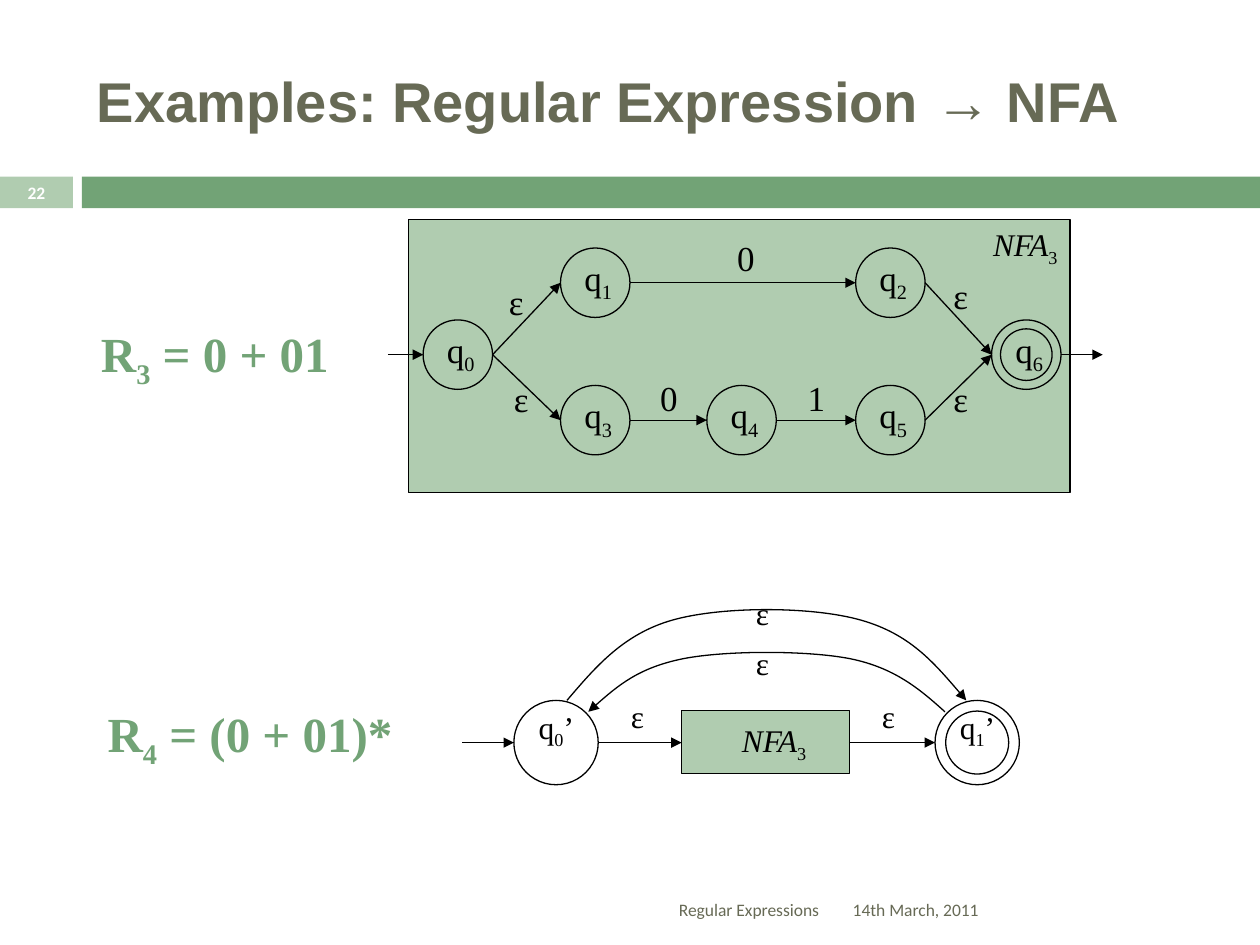
from pptx import Presentation
from pptx.dml.color import RGBColor
from pptx.enum.shapes import MSO_CONNECTOR, MSO_SHAPE
from pptx.enum.text import MSO_ANCHOR, MSO_AUTO_SIZE, PP_ALIGN
from pptx.oxml.ns import qn
from pptx.util import Cm, Pt
from lxml.etree import SubElement

BLACK = RGBColor(0x00, 0x00, 0x00)
WHITE = RGBColor(0xFF, 0xFF, 0xFF)
OLIVE = RGBColor(0x67, 0x6A, 0x55)
GREEN = RGBColor(0x72, 0xA3, 0x76)
PALE = RGBColor(0xB0, 0xCC, 0xB0)
SERIF = "Times New Roman"

LABEL = {"name": SERIF, "size": Pt(20), "color": BLACK}
SMALL = {**LABEL, "size": Pt(18)}
NFA = {**SMALL, "italic": True}
FORMULA = {"name": SERIF, "size": Pt(28), "color": GREEN, "bold": True}
TITLE = {"name": "Arial", "size": Pt(32), "color": OLIVE, "bold": True}
FOOTER = {"name": "Calibri", "size": Pt(10), "color": OLIVE}
NUMBER = {**FOOTER, "color": WHITE, "bold": True}


class Diagram:
    def __init__(self, page):
        self.page = page
        self.shapes = page.shapes

    def span(self, para, text, style, subscript=False):
        span = para.add_run()
        span.text = text
        for key, value in style.items():
            if key == "color":
                span.font.color.rgb = value
            else:
                setattr(span.font, key, value)
        if subscript:
            span.font.italic = False
            span.font._element.set("baseline", "-25000")

    def fill_text(self, box, text, style, align=PP_ALIGN.LEFT, anchor=MSO_ANCHOR.TOP, wrap=True):
        """Set text in which every second part between underscores is a subscript."""
        frame = box.text_frame
        frame.word_wrap = wrap
        frame.vertical_anchor = anchor
        para = frame.paragraphs[0]
        para.alignment = align
        for index, part in enumerate(text.split("_")):
            self.span(para, part, style, subscript=index % 2 == 1)

    def title(self, spans, area):
        box = self.shapes.title
        box.left, box.top, box.width, box.height = map(Cm, area)
        box.text_frame.vertical_anchor = MSO_ANCHOR.MIDDLE
        para = box.text_frame.paragraphs[0]
        para.alignment = PP_ALIGN.LEFT
        for text, font in spans:
            self.span(para, text, {**TITLE, "name": font})

    def text(self, text, area, style, **layout):
        box = self.shapes.add_textbox(*map(Cm, area))
        self.fill_text(box, text, style, **layout)

    def label(self, text, left, top, style=LABEL, width=0.84, height=1.12):
        box = self.shapes.add_textbox(Cm(left), Cm(top), Cm(width), Cm(height))
        self.fill_text(box, text, style, wrap=False)
        box.text_frame.auto_size = MSO_AUTO_SIZE.SHAPE_TO_FIT_TEXT

    def outline(self, shape, fill=None, line=BLACK):
        shape.shadow.inherit = False
        if fill is None:
            shape.fill.background()
        else:
            shape.fill.solid()
            shape.fill.fore_color.rgb = fill
        if line is None:
            shape.line.fill.background()
        else:
            shape.line.color.rgb = line
            shape.line.width = Pt(0.75)

    def rectangle(self, area, fill, line=None):
        shape = self.shapes.add_shape(MSO_SHAPE.RECTANGLE, *map(Cm, area))
        self.outline(shape, fill, line)
        return shape

    def circle(self, center, diameter):
        x, y = center
        corner = Cm(x - diameter / 2), Cm(y - diameter / 2)
        shape = self.shapes.add_shape(MSO_SHAPE.OVAL, *corner, Cm(diameter), Cm(diameter))
        self.outline(shape)

    def arrowhead(self, shape):
        line = shape.line._get_or_add_ln()
        SubElement(line, qn("a:tailEnd"), type="triangle")

    def arrow(self, start, end):
        line = self.shapes.add_connector(MSO_CONNECTOR.STRAIGHT, *map(Cm, (*start, *end)))
        line.line.color.rgb = BLACK
        line.line.width = Pt(0.75)
        self.arrowhead(line)
        SubElement(line._element.spPr, qn("a:effectLst"))

    def curve(self, points):
        """Draw an arrow along cubic curves: a start, then three points for each curve."""
        start, *rest = [(Cm(x), Cm(y)) for x, y in points]
        builder = self.shapes.build_freeform(*start)
        builder.add_line_segments(rest, close=False)
        shape = builder.convert_to_shape()
        route = next(shape._element.iter(qn("a:path")))
        segments = route.findall(qn("a:lnTo"))
        for first in range(0, len(segments), 3):
            bend = SubElement(route, qn("a:cubicBezTo"))
            for segment in segments[first:first + 3]:
                bend.append(segment[0])
                route.remove(segment)
        self.outline(shape)
        self.arrowhead(shape)


def mirrored(half, axis):
    return half + [(2 * axis - x, y) for x, y in reversed(half)]


def draw_union(diagram):
    """Draw the automaton for R3."""
    frame = diagram.rectangle((8.23, 4.42, 13.34, 5.51), PALE, BLACK)
    diagram.fill_text(frame, "NFA_3", NFA, align=PP_ALIGN.RIGHT, wrap=False)
    diameter, middle, upper, lower = 1.4, 7.15, 5.7, 8.47
    states = [(9.23, middle), (12, upper), (17.95, upper), (12, lower),
              (14.95, lower), (17.95, lower), (20.69, middle)]
    for number, (x, y) in enumerate(states):
        diagram.circle((x, y), diameter)
        diagram.label(f"q_{number}", x - 0.47, y - 0.66, width=1.09)
    diagram.circle(states[6], 1.04)

    radius = diameter / 2
    for source, target in [(0, 1), (0, 3), (1, 2), (3, 4), (4, 5), (2, 6), (5, 6)]:
        (x1, y1), (x2, y2) = states[source], states[target]
        diagram.arrow((x1 + radius, y1), (x2 - radius, y2))
    diagram.arrow((7.82, middle), (states[0][0] - radius, middle))
    diagram.arrow((states[6][0] + radius, middle), (22.23, middle))
    for text, left, top in [("ε", 10.01, 5.54), ("ε", 10.11, 7.49), ("ε", 18.97, 5.41),
                            ("ε", 18.97, 7.49), ("0", 14.61, 4.65), ("0", 13.06, 7.47),
                            ("1", 16.03, 7.47)]:
        diagram.label(text, left, top)


def draw_star(diagram):
    """Draw the automaton for R4."""
    diameter, middle, first, last = 1.7, 14.97, 11.21, 19.7
    left, width = 13.74, 3.38
    frame = diagram.rectangle((left, 14.33, width, 1.27), PALE, BLACK)
    frame.text_frame.margin_left = Cm(0.6)
    diagram.fill_text(frame, "NFA_3", NFA, align=PP_ALIGN.CENTER, anchor=MSO_ANCHOR.MIDDLE)
    for number, x in enumerate((first, last)):
        diagram.circle((x, middle), diameter)
        diagram.label(f"q_{number}_’", x - 0.6, middle - 0.83, SMALL, 1.4, 1.3)
    diagram.circle((last, middle), 1.27)

    radius = diameter / 2
    for start, end in [(9.32, first - radius), (first + radius, left),
                       (left + width, last - radius)]:
        diagram.arrow((start, middle), (end, middle))
    axis = (first + last) / 2
    outer = [(11.43, 14.12), (12.01, 13.44), (12.57, 12.78), (13.56, 12.5), (14.55, 12.22)]
    inner = [(11.86, 14.35), (12.37, 13.89), (12.88, 13.46), (13.77, 13.28), (14.63, 13.11)]
    diagram.curve(mirrored(outer, axis))
    diagram.curve(mirrored(inner, axis)[::-1])
    for x, y in [(14.99, 11.86), (14.99, 12.85), (12.47, 13.92), (17.53, 13.92)]:
        diagram.label("ε", x, y, SMALL, 0.89, 1.27)


def main():
    deck = Presentation()
    deck.slide_width, deck.slide_height = Cm(25.4), Cm(19.05)
    diagram = Diagram(deck.slides.add_slide(deck.slide_layouts[5]))
    diagram.title([("Examples: Regular Expression ", "Arial"), ("→", SERIF), (" NFA", "Arial")],
                  (1.7, 0.64, 22.66, 2.74))
    number = diagram.rectangle((0, 3.56, 1.47, 0.64), PALE)
    diagram.fill_text(number, "22", NUMBER, align=PP_ALIGN.CENTER, anchor=MSO_ANCHOR.MIDDLE)
    diagram.rectangle((1.65, 3.56, 23.75, 0.64), GREEN)

    draw_union(diagram)
    draw_star(diagram)
    diagram.text("R_3_ = 0 + 01", (1.7, 6.4, 5.26, 1.45), FORMULA, align=PP_ALIGN.CENTER)
    diagram.text("R_4_ = (0 + 01)*", (1.85, 14.05, 6.38, 1.45), FORMULA, align=PP_ALIGN.CENTER)
    diagram.text("Regular Expressions", (1.7, 17.83, 15.06, 1.02), FOOTER,
                 align=PP_ALIGN.RIGHT, anchor=MSO_ANCHOR.MIDDLE)
    diagram.text("14th March, 2011", (16.94, 17.83, 7.42, 1.02), FOOTER,
                 anchor=MSO_ANCHOR.MIDDLE)
    deck.save("out.pptx")


if __name__ == "__main__":
    main()
